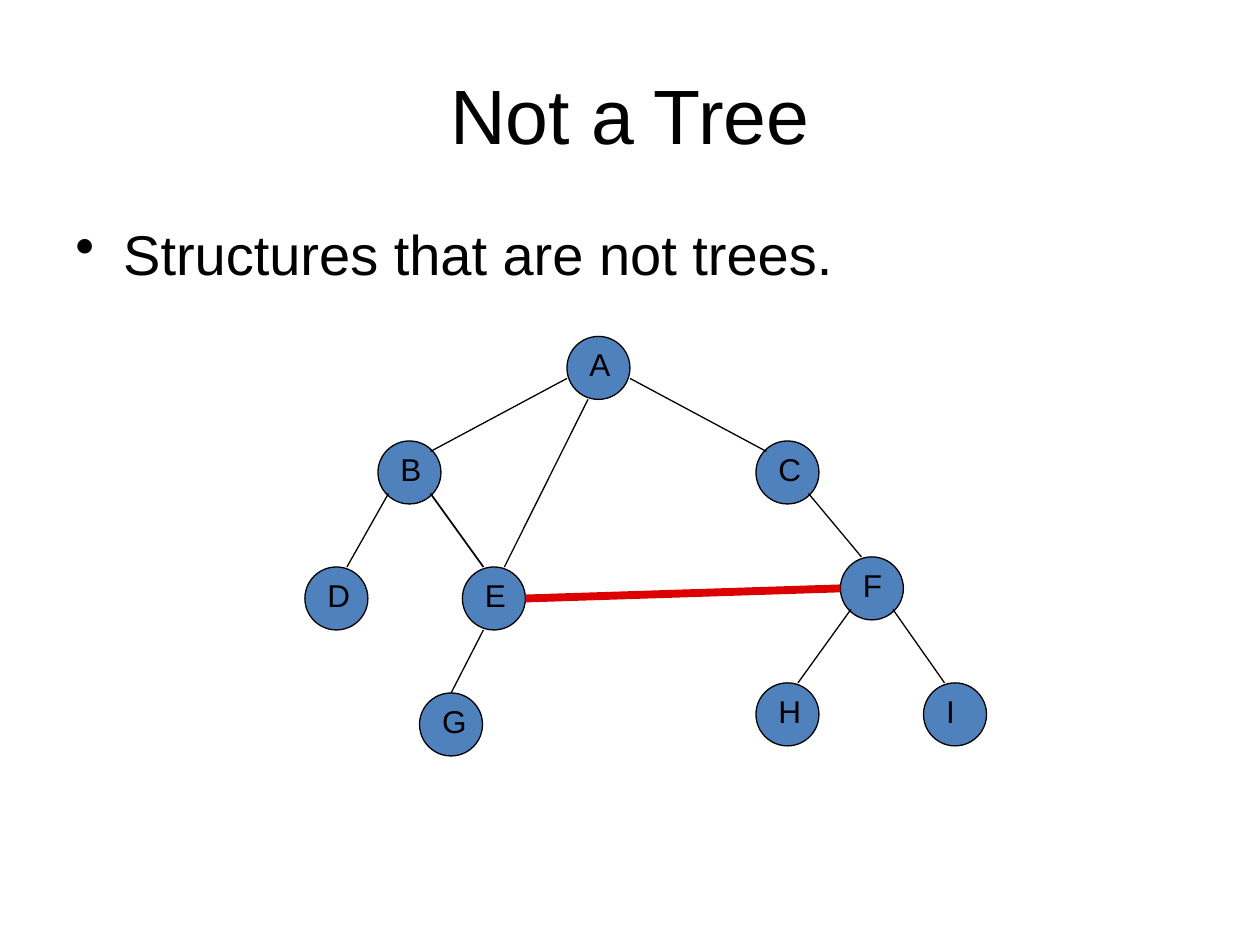
from lxml import etree
from pptx import Presentation
from pptx.dml.color import RGBColor
from pptx.enum.shapes import MSO_CONNECTOR, MSO_SHAPE
from pptx.enum.text import MSO_ANCHOR, PP_ALIGN
from pptx.oxml.ns import qn
from pptx.util import Inches, Pt

OVAL = MSO_SHAPE.OVAL
LINE = MSO_CONNECTOR.STRAIGHT
MIDDLE = MSO_ANCHOR.MIDDLE
CENTER, LEFT = PP_ALIGN.CENTER, PP_ALIGN.LEFT
BLACK = RGBColor(0, 0, 0)
DARK = RGBColor(0x09, 0x04, 0x09)
BLUE = RGBColor(0x4F, 0x81, 0xBD)
RED = RGBColor(0xDC, 0, 0)

SIZE = 0.5  # node diameter
UNIT = SIZE / 6  # step for the points where edges meet a node

# name: left, top, label width
NODES = {
    "A": (4.5, 2.67, 0.33),
    "B": (3, 3.5, 0.33),
    "D": (2.42, 4.5, 0.42),
    "H": (6, 5.42, 0.33),
    "C": (6, 3.5, 0.33),
    "E": (3.67, 4.5, 0.33),
    "F": (6.67, 4.42, 0.33),
    "G": (3.33, 5.5, 0.42),
    "I": (7.33, 5.42, 0.42),
}

# node and point (in units from its top left) at each end, colour, width
EDGES = [
    ("A", (0, 4), "B", (5, 1), BLACK, 0.75),
    ("A", (6, 4), "C", (1, 1), BLACK, 0.75),
    ("B", (1, 5), "D", (4, 0), BLACK, 0.75),
    ("B", (5, 5), "E", (2, 0), DARK, 1),
    ("E", (2, 6), "G", (3, 0), BLACK, 0.75),
    ("C", (5, 5), "F", (2, 0), BLACK, 0.75),
    ("F", (1, 5), "H", (4, 0), BLACK, 0.75),
    ("F", (5, 5), "I", (2, 0), BLACK, 0.75),
    ("A", (2, 6), "E", (4, 0), BLACK, 0.75),
    ("E", (6, 3), "F", (0, 3), RED, 4.5),
]


class Board:
    """Holds the text style and the current slide."""

    font = "Arial"

    def __init__(self, slide):
        self.slide = slide
        self.shapes = slide.shapes

    def put(self, frame, text, size, align=LEFT):
        """Set the text of a frame and return its paragraph."""
        frame.word_wrap = True
        para = frame.paragraphs[0]
        para.alignment = align
        run = para.add_run()
        run.text = text
        style = {"name": self.font, "size": Pt(size)}
        for key, value in style.items():
            setattr(run.font, key, value)
        run.font.color.rgb = BLACK
        return para

    def title(self, text, *box):
        shape = self.shapes.title
        for key, value in zip(("left", "top", "width", "height"), box):
            setattr(shape, key, Inches(value))
        shape.text_frame.vertical_anchor = MIDDLE
        self.put(shape.text_frame, text, 44, CENTER)

    def label(self, text, size, *box):
        shape = self.shapes.add_textbox(*map(Inches, box))
        return self.put(shape.text_frame, text, size)

    def bullet(self, text, *box):
        para = self.label(text, 32, *box)
        para.line_spacing = 0.9
        props = para._p.get_or_add_pPr()
        props.set("marL", str(Inches(0.38)))
        props.set("indent", str(-Inches(0.38)))
        etree.SubElement(props, qn("a:buChar"), char="•")

    def node(self, name, left, top, width):
        box = map(Inches, (left, top, SIZE, SIZE))
        shape = self.shapes.add_shape(OVAL, *box)
        shape.shadow.inherit = False
        shape.fill.solid()
        shape.fill.fore_color.rgb = BLUE
        shape.line.color.rgb = BLACK
        shape.line.width = Pt(0.75)
        self.label(name, 18, left + 0.08, top + 0.02, width, 0.4)

    def edge(self, start, out, end, into, color, width):
        points = [
            Inches(base + step * UNIT)
            for name, port in ((start, out), (end, into))
            for base, step in zip(NODES[name], port)
        ]
        line = self.shapes.add_connector(LINE, *points)
        line.line.color.rgb = color
        line.line.width = Pt(width)
        etree.SubElement(line._element.spPr, qn("a:effectLst"))


def main():
    deck = Presentation()
    deck.slide_width, deck.slide_height = Inches(10), Inches(7.5)
    board = Board(deck.slides.add_slide(deck.slide_layouts[5]))
    board.title("Not a Tree", 0.5, 0.4, 9, 1)
    board.bullet("Structures that are not trees.", 0.5, 1.75, 9, 0.58)
    for name, place in NODES.items():
        board.node(name, *place)
    for edge in EDGES:
        board.edge(*edge)
    deck.save("out.pptx")


if __name__ == "__main__":
    main()
